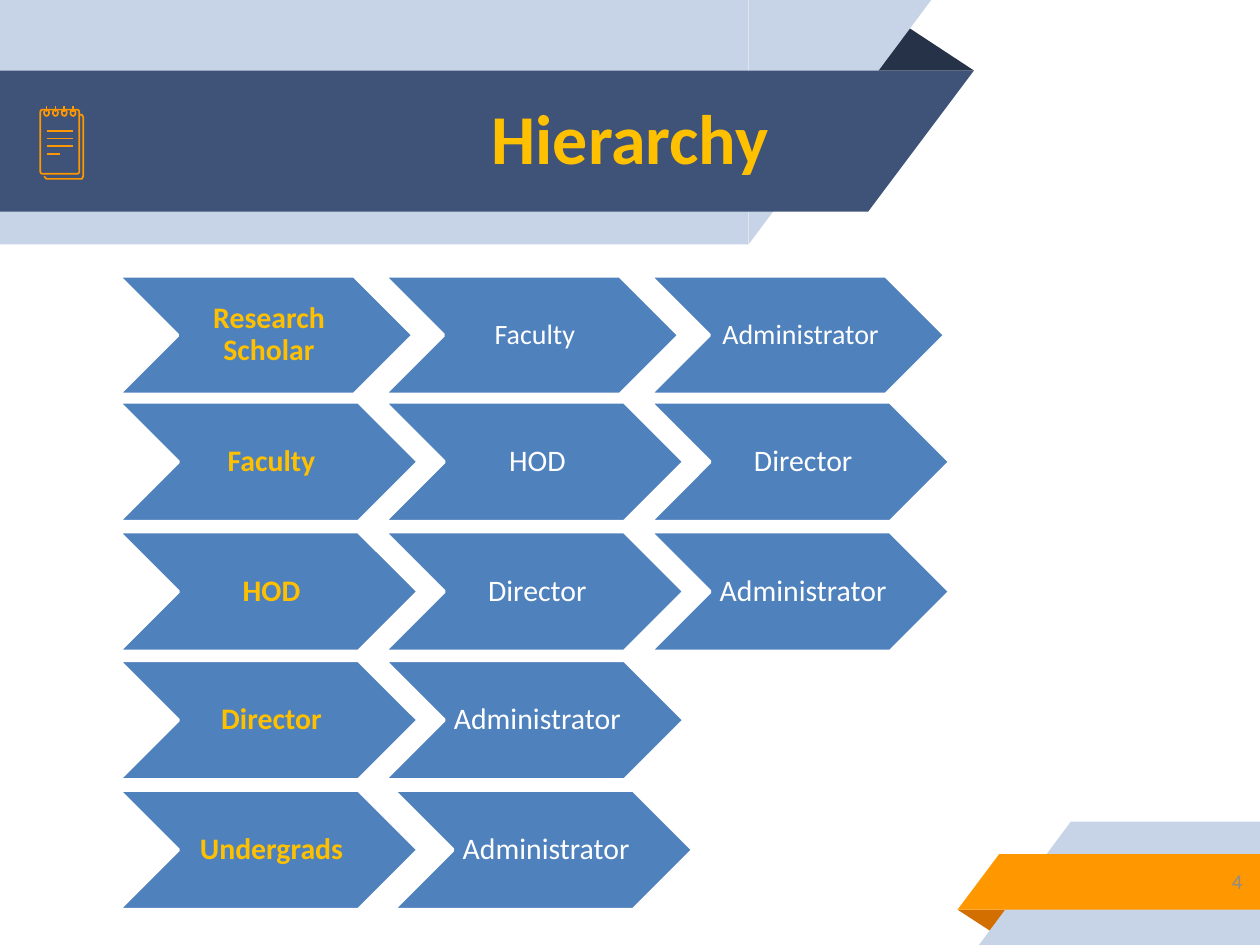
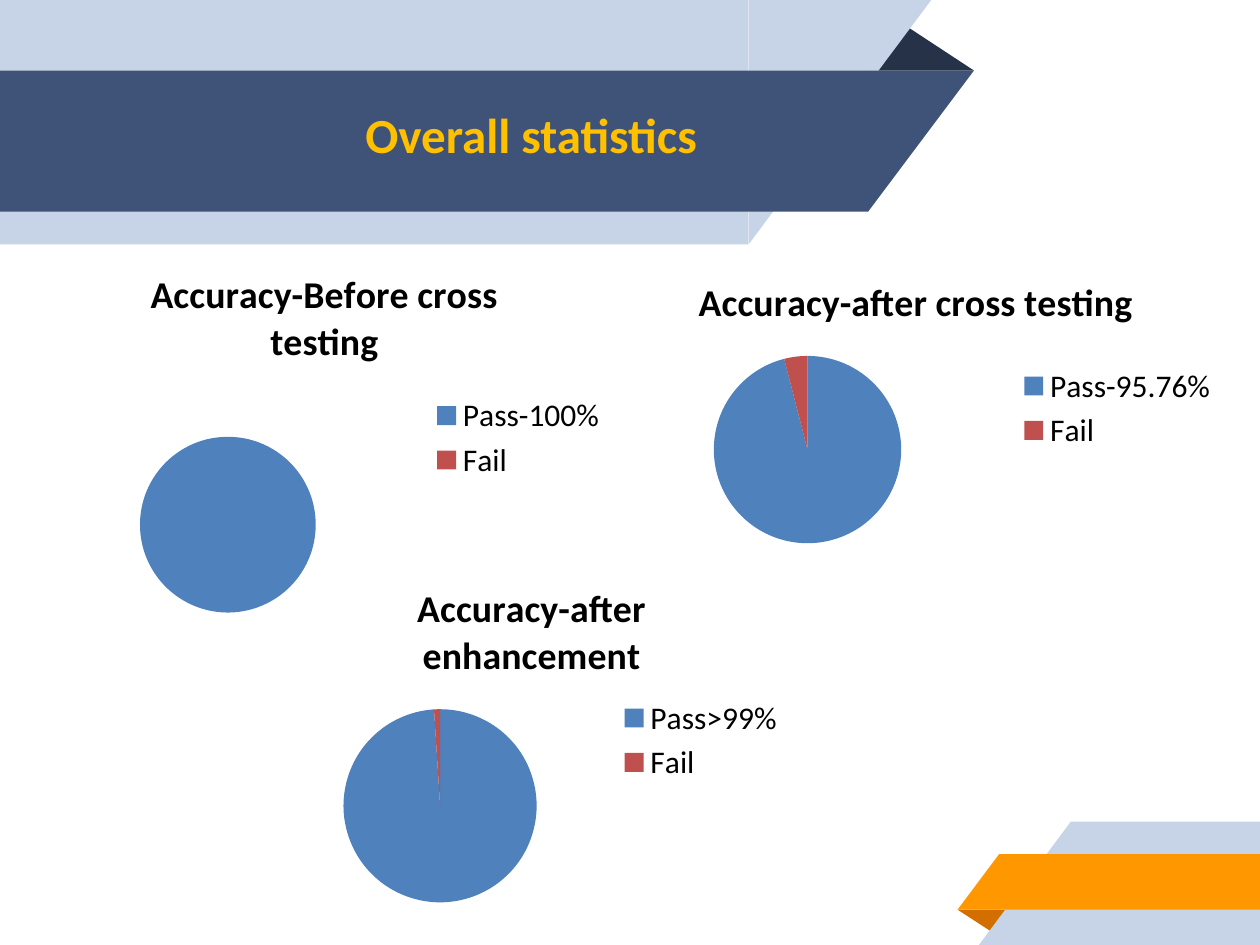
from lxml.etree import SubElement
from pptx import Presentation
from pptx.chart.data import CategoryChartData
from pptx.dml.color import RGBColor
from pptx.enum.chart import XL_CHART_TYPE, XL_LEGEND_POSITION
from pptx.enum.shapes import MSO_CONNECTOR, MSO_SHAPE
from pptx.enum.text import MSO_ANCHOR, PP_ALIGN
from pptx.oxml import parse_xml
from pptx.oxml.ns import nsdecls, qn
from pptx.util import Inches, Pt

COLUMNS, ROWS = 100, 75
FONT = "Calibri"
PALE, NAVY, DARK = "C7D3E6", "3F5378", "263248"
ORANGE, RUST, GOLD = "FF9800", "D26F00", "FFC000"
BLUE, RED, WHITE, BLACK, GREY = "4F81BD", "C0504D", "FFFFFF", "000000", "8C8C8C"
RECT, CORNER, FOLD = MSO_SHAPE.RECTANGLE, MSO_SHAPE.RIGHT_TRIANGLE, MSO_SHAPE.ISOSCELES_TRIANGLE

# preset, place, colour, rotation, mirrored, adjustment
RIBBONS = [
    (FOLD, (68.8, 1.8, 8.5, 3.8), DARK, 0, False, 0.32),
    (RECT, (0, 0, 59.4, 19.4), PALE, 180, True, None),
    (CORNER, (59.4, 0, 14.5, 19.4), PALE, 180, True, None),
    (RECT, (0, 5.6, 68.9, 11.2), NAVY, 180, True, None),
    (CORNER, (68.9, 5.6, 8.4, 11.2), NAVY, 180, True, None),
    (FOLD, (76, 72.2, 4.3, 1.9), RUST, 180, False, 0.32),
    (RECT, (85, 65.2, 15, 9.8), PALE, 0, True, None),
    (CORNER, (77.7, 65.2, 7.3, 9.8), PALE, 0, True, None),
    (RECT, (79.3, 67.8, 20.7, 4.4), ORANGE, 0, True, None),
    (CORNER, (76, 67.8, 3.3, 4.4), ORANGE, 0, True, None),
]

# top, pitch, chevron size, size of the follower text, names
CHAINS = [
    (21.9, 21.1, (23.4, 9.4), 16, ["Research Scholar", "Faculty", "Administrator"]),
    (31.9, 21.1, (23.8, 9.5), 17, ["Faculty", "HOD", "Director"]),
    (42.2, 21.1, (23.8, 9.5), 17, ["HOD", "Director", "Administrator"]),
    (52.4, 21.1, (23.8, 9.5), 17, ["Director", "Administrator"]),
    (62.7, 21.8, (23.8, 9.5), 17, ["Undergrads", "Administrator"]),
]

# place, title, pass label, pass and fail values, explosion
PIES = [
    ((2.3, 19.5, 46.9, 30.5), "Accuracy-Before cross testing", "Pass-100%", (100, 0), 24),
    ((47.7, 20.3, 50, 24.2), "Accuracy-after cross testing", "Pass-95.76%", (96, 4), 0),
    ((21.1, 44.5, 42.2, 28.5), "Accuracy-after enhancement", "Pass>99%", (99, 1), 0),
]


def rgb(value):
    return RGBColor.from_string(value)


class Board:
    """Holds the deck and the current page; lengths are grid columns and rows."""

    def __init__(self):
        self.deck = Presentation()
        self.deck.slide_width, self.deck.slide_height = Inches(10), Inches(7.5)
        self.page = None

    def across(self, columns):
        return round(self.deck.slide_width * columns / COLUMNS)

    def down(self, rows):
        return round(self.deck.slide_height * rows / ROWS)

    def place(self, area):
        left, top, width, height = area
        return self.across(left), self.down(top), self.across(width), self.down(height)

    def new_page(self):
        self.page = self.deck.slides.add_slide(self.deck.slide_layouts[6])
        for preset, area, fill, turn, mirrored, adjustment in RIBBONS:
            ribbon = self.shape(preset, area, fill)
            ribbon.rotation = turn
            if mirrored:
                ribbon.element.spPr.xfrm.set("flipH", "1")
            if adjustment is not None:
                ribbon.adjustments[0] = adjustment

    def paint(self, shape, fill, line, weight):
        shape.shadow.inherit = False
        if fill:
            shape.fill.solid()
            shape.fill.fore_color.rgb = rgb(fill)
        else:
            shape.fill.background()
        if line:
            shape.line.color.rgb = rgb(line)
            shape.line.width = Pt(weight)
        else:
            shape.line.fill.background()
        return shape

    def shape(self, preset, area, fill=None, line=None, weight=1):
        shape = self.page.shapes.add_shape(preset, *self.place(area))
        return self.paint(shape, fill, line, weight)

    def outline(self, points, line):
        """Draws an open path through the points."""
        corners = [(self.across(x), self.down(y)) for x, y in points]
        builder = self.page.shapes.build_freeform(*corners[0])
        builder.add_line_segments(corners[1:], close=False)
        return self.paint(builder.convert_to_shape(), None, line, 1)

    def stroke(self, start, end, color):
        line = self.page.shapes.add_connector(
            MSO_CONNECTOR.STRAIGHT, self.across(start[0]), self.down(start[1]),
            self.across(end[0]), self.down(end[1]))
        line.line.color.rgb = rgb(color)
        line.line.width = Pt(1)
        SubElement(line.element.spPr, qn("a:effectLst"))

    def label(self, shape, text, size, color, bold=False, align=PP_ALIGN.CENTER,
              anchor=MSO_ANCHOR.MIDDLE, margins=(0.1, 0.1, 0.1, 0.1), spacing=1.0):
        frame = shape.text_frame
        frame.text = text
        frame.word_wrap = True
        frame.vertical_anchor = anchor
        (frame.margin_left, frame.margin_top,
         frame.margin_right, frame.margin_bottom) = map(Inches, margins)
        para = frame.paragraphs[0]
        para.alignment, para.line_spacing = align, spacing
        self.style(para.runs[0].font, size, color, bold)

    def style(self, font, size, color, bold=False):
        font.name, font.size, font.bold = FONT, Pt(size), bold
        font.color.rgb = rgb(color)

    def text(self, area, text, size, color, **options):
        box = self.page.shapes.add_textbox(*self.place(area))
        self.label(box, text, size, color, **options)

    def title(self, area, text, size, anchor=MSO_ANCHOR.MIDDLE):
        self.text(area, text, size, GOLD, bold=True, anchor=anchor)

    def chevron(self, area, text, size, color, bold):
        arrow = self.shape(MSO_SHAPE.CHEVRON, area, BLUE, WHITE, 2)
        self.label(arrow, text, size, color, bold,
                   margins=(0.07, 0.02, 0.02, 0.02), spacing=0.9)

    def notepad(self):
        self.outline([(3.5, 14), (3.7, 14.2), (6.5, 14.2), (6.6, 14),
                      (6.6, 9.3), (6.5, 9.1), (6.3, 9.1)], ORANGE)
        sheet = self.shape(MSO_SHAPE.ROUNDED_RECTANGLE, (3.2, 8.7, 3.1, 5.1), None, ORANGE)
        sheet.adjustments[0] = 0.06
        for ring in range(4):
            middle = 3.7 + 0.7 * ring
            self.shape(MSO_SHAPE.OVAL, (middle - 0.2, 8.7, 0.4, 0.5), None, ORANGE)
            self.stroke((middle, 8.4), (middle, 8.9), ORANGE)
        for row, end in enumerate([5.8, 5.8, 5.8, 4.8]):
            height = 10.4 + 0.6 * row
            self.stroke((3.7, height), (end, height), ORANGE)

    def pie(self, area, title, pass_label, values, explosion):
        data = CategoryChartData()
        data.categories = [pass_label, "Fail"]
        data.add_series(title, values)
        chart = self.page.shapes.add_chart(XL_CHART_TYPE.PIE, *self.place(area), data).chart
        self.style(chart.font, 18, BLACK)
        chart.has_title = True
        chart.chart_title.text_frame.text = title
        heading = chart.chart_title.text_frame.paragraphs[0].runs[0]
        self.style(heading.font, 21.6, BLACK, True)
        chart.has_legend = True
        chart.legend.position = XL_LEGEND_POSITION.RIGHT
        chart.legend.include_in_layout = False
        plot = chart.plots[0]
        plot.vary_by_categories = True
        series = plot.series[0]
        for index, color in enumerate([BLUE, RED]):
            fill = series.points[index].format.fill
            fill.solid()
            fill.fore_color.rgb = rgb(color)
        if explosion:
            first_point = series._element.find(qn("c:dPt"))
            first_point.addprevious(
                parse_xml(f'<c:explosion {nsdecls("c")} val="{explosion}"/>'))


def hierarchy_page(board):
    board.new_page()
    board.text((83.3, 67.6, 16.3, 4.6), "4", 12, GREY, align=PP_ALIGN.RIGHT)
    board.notepad()
    board.title((3.4, 6.5, 93.2, 8.4), "Hierarchy", 40, MSO_ANCHOR.TOP)
    for top, pitch, size, follower_size, names in CHAINS:
        for step, name in enumerate(names):
            leads = step == 0
            board.chevron((9.4 + pitch * step, top, *size), name,
                          17 if leads else follower_size, GOLD if leads else WHITE, leads)


def statistics_page(board):
    board.new_page()
    board.title((-1.2, 5.2, 86.7, 10.9), "Overall statistics", 28)
    for pie in PIES:
        board.pie(*pie)


def main():
    board = Board()
    hierarchy_page(board)
    statistics_page(board)
    board.deck.save("out.pptx")


if __name__ == "__main__":
    main()
